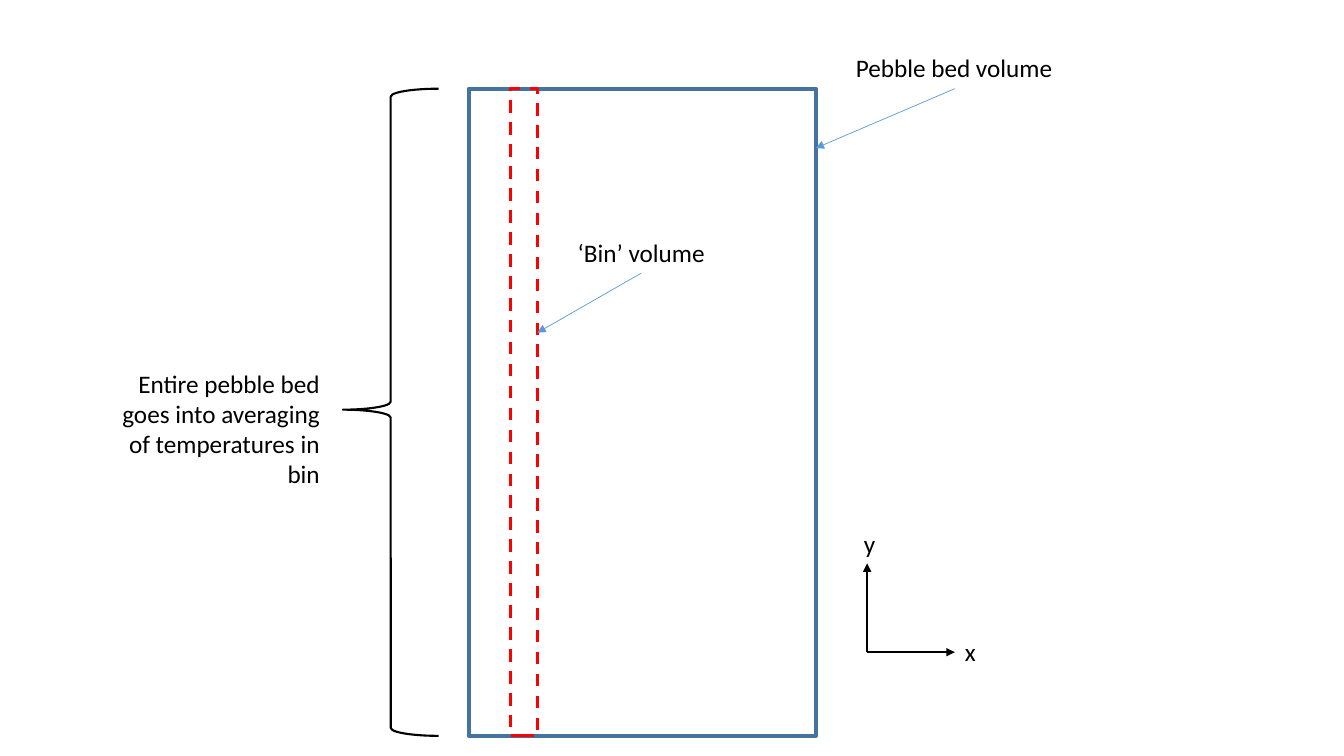
import pptx
import pptx.dml.color
import pptx.enum.dml
import pptx.enum.shapes
import pptx.enum.text
import pptx.oxml
import pptx.oxml.ns
import pptx.util
from pptx.util import Inches

COLORS = {"bed": "43739E", "bin": "FF0000", "pointer": "5B9BD5", "ink": "000000"}
SHAPES = pptx.enum.shapes.MSO_SHAPE
ALIGN = pptx.enum.text.PP_ALIGN
DASH = pptx.enum.dml.MSO_LINE.DASH
BED_TOP, BED_HEIGHT = 0.88, 6.42

prs = pptx.Presentation()
prs.slide_width, prs.slide_height = Inches(13.33), Inches(7.5)
s = prs.slides.add_slide(prs.slide_layouts[6])


def add_text(text, left, top, width, height=0.4, wrap=False, align=ALIGN.LEFT):
    tf = s.shapes.add_textbox(*map(Inches, (left, top, width, height))).text_frame
    tf.word_wrap = wrap
    tf.auto_size = pptx.enum.text.MSO_AUTO_SIZE.SHAPE_TO_FIT_TEXT
    p = tf.paragraphs[0]
    p.alignment = align
    r = p.add_run()
    r.text = text
    r.font.name, r.font.size = "Calibri", pptx.util.Pt(18)
    r.font.color.rgb = pptx.dml.color.RGBColor.from_string(COLORS["ink"])


def style_line(line, color, width):
    line.color.rgb = pptx.dml.color.RGBColor.from_string(COLORS[color])
    line.width = pptx.util.Pt(width)


# Bed, bin and brace share the full bed height
for kind, left, width, color, weight, dash in (
    (SHAPES.RECTANGLE, 4.65, 3.44, "bed", 3, None),
    (SHAPES.RECTANGLE, 5.06, 0.27, "bin", 2.25, DASH),
    (SHAPES.LEFT_BRACE, 3.4, 0.95, "ink", 1.5, None),
):
    sp = s.shapes.add_shape(kind, *map(Inches, (left, BED_TOP, width, BED_HEIGHT)))
    sp.shadow.inherit = False
    sp.fill.background()
    style_line(sp.line, color, weight)
    if dash:
        sp.line.dash_style = dash
    if kind == SHAPES.LEFT_BRACE:
        sp.adjustments[0], sp.adjustments[1] = 0.083, 0.496

# Pointers and axes
for x1, y1, x2, y2, color, weight in (
    (9.47, 0.88, 8.09, 1.47, "pointer", 0.5),
    (6.36, 2.71, 5.33, 3.3, "pointer", 0.5),
    (8.6, 6.47, 9.47, 6.47, "ink", 1.5),
    (8.6, 6.47, 8.6, 5.59, "ink", 1.5),
):
    arrow = s.shapes.add_connector(
        pptx.enum.shapes.MSO_CONNECTOR.STRAIGHT, *map(Inches, (x1, y1, x2, y2)))
    style_line(arrow.line, color, weight)
    ns = pptx.oxml.ns.nsdecls("a")
    arrow.line._get_or_add_ln().append(
        pptx.oxml.parse_xml(f'<a:tailEnd {ns} type="triangle"/>'))
    arrow._element.spPr.append(pptx.oxml.parse_xml(f"<a:effectLst {ns}/>"))

add_text("Pebble bed volume", 8.39, 0.47, 2.18)
add_text("‘Bin’ volume", 5.63, 2.31, 1.48)
add_text("x", 9.47, 6.26, 0.31)
add_text("y", 8.47, 5.19, 0.32)
add_text("Entire pebble bed goes into averaging of temperatures in bin",
         0.9, 3.6, 2.37, height=1.31, wrap=True, align=ALIGN.RIGHT)

prs.save("out.pptx")
